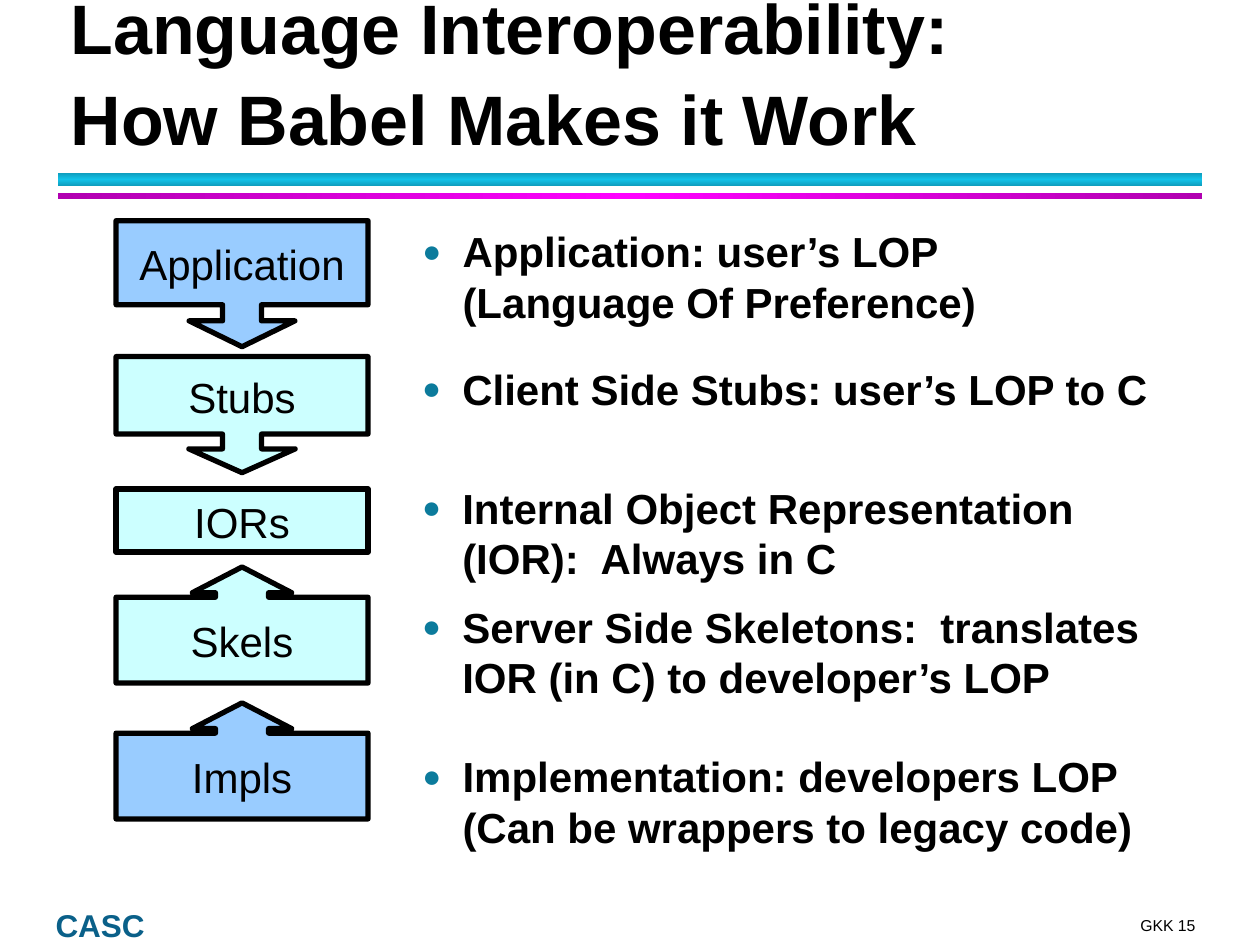
from copy import deepcopy
from dataclasses import dataclass

from lxml.etree import SubElement
from pptx import Presentation
from pptx.dml.color import RGBColor
from pptx.enum.shapes import MSO_SHAPE
from pptx.enum.text import MSO_ANCHOR, MSO_AUTO_SIZE, PP_ALIGN
from pptx.oxml.ns import qn
from pptx.util import Cm, Pt


@dataclass(frozen=True)
class Theme:
    """Colours, font and type sizes of the slide."""
    font: str = "Arial"
    text: str = "000000"
    brand: str = "0A6089"
    bullet: str = "0C7B9C"
    user: str = "99CCFF"
    generated: str = "CCFFFF"
    teal: tuple = ("0E9AB9", "12C2E9", "0E9AB9")
    magenta: tuple = ("B100B1", "FF00FF", "B100B1")
    title_size: int = 40
    body_size: int = 24
    brand_size: int = 18
    number_size: int = 9
    title_pitch: int = 52
    body_pitch: int = 29
    box_pitch: int = 30
    brand_pitch: int = 20


T = Theme()
DOWN = (MSO_SHAPE.DOWN_ARROW_CALLOUT, 2.34)
UP = (MSO_SHAPE.UP_ARROW_CALLOUT, 2.34)
UP_ADJ = (0.458, 0.428, 0.222, 0.739)


def write(p, text, size=T.body_size, color=T.text, bold=False,
          align=PP_ALIGN.LEFT, pitch=None, before=0, after=0):
    """Fill a paragraph with formatted text."""
    p.text = text
    p.alignment = align
    p.space_before, p.space_after = Pt(before), Pt(after)
    if pitch:
        p.line_spacing = Pt(pitch)
    for r in p.runs:
        f = r.font
        f.name, f.size, f.bold = T.font, Pt(size), bold
        f.color.rgb = RGBColor.from_string(color)


def set_frame(tf, anchor, wrap=True, inset=None):
    """Set anchor, wrapping and insets of a text frame."""
    tf.auto_size = MSO_AUTO_SIZE.NONE
    tf.vertical_anchor, tf.word_wrap = anchor, wrap
    if inset is not None:
        tf.margin_left = tf.margin_right = Cm(inset)
        tf.margin_top = tf.margin_bottom = Cm(inset)
    return tf


def place(sp, x, y, w, h):
    """Move and size a shape, in centimetres."""
    sp.left, sp.top, sp.width, sp.height = Cm(x), Cm(y), Cm(w), Cm(h)


def add_bullet(p):
    """Give a paragraph a hanging coloured bullet."""
    pPr = p._p.get_or_add_pPr()
    pPr.set("marL", str(Cm(0.81)))
    pPr.set("indent", str(-Cm(0.81)))
    clr = SubElement(pPr, qn("a:buClr"))
    SubElement(clr, qn("a:srgbClr"), val=T.bullet)
    SubElement(pPr, qn("a:buSzPct"), val="75000")
    SubElement(pPr, qn("a:buFont"), typeface=T.font)
    SubElement(pPr, qn("a:buChar"), char="●")


def title(sp, text, x, y, w, h):
    """Format the title placeholder."""
    place(sp, x, y, w, h)
    tf = set_frame(sp.text_frame, MSO_ANCHOR.BOTTOM)
    write(tf.paragraphs[0], text, size=T.title_size, bold=True,
          pitch=T.title_pitch)


def rules(s, x, y, w):
    """Draw the two gradient bars below the title."""
    for dy, h, colors, angle in ((0, 0.28, T.teal, 90),
                                 (0.41, 0.13, T.magenta, 0)):
        sp = s.shapes.add_shape(MSO_SHAPE.RECTANGLE, Cm(x), Cm(y + dy), Cm(w), Cm(h))
        sp.shadow.inherit = False
        sp.line.fill.background()
        sp.fill.gradient()
        sp.fill.gradient_angle = angle
        stops = sp._element.spPr.find(qn("a:gradFill")).find(qn("a:gsLst"))
        stops.insert(1, deepcopy(stops[0]))
        for i, (stop, color) in enumerate(zip(sp.fill.gradient_stops, colors)):
            stop.position = i / 2
            stop.color.rgb = RGBColor.from_string(color)


def stack(s, x, y, w):
    """Draw the column of software layers."""
    layers = (
        ("Application", 0, 2.54, DOWN[0], T.user, (0.309, 0.42, 0.205, 0.667)),
        ("Stubs", 2.74, DOWN[1], DOWN[0], T.generated, (0.337, 0.458, 0.205, 0.667)),
        ("Skels", 6.98, UP[1], UP[0], T.generated, UP_ADJ),
        ("IORs", 5.41, 1.27, MSO_SHAPE.RECTANGLE, T.generated, ()),
        ("Impls", 9.72, UP[1], UP[0], T.user, UP_ADJ),
    )
    for text, dy, h, kind, fill, adjust in layers:
        sp = s.shapes.add_shape(kind, Cm(x), Cm(y + dy), Cm(w), Cm(h))
        sp.shadow.inherit = False
        for i, value in enumerate(adjust):
            sp.adjustments[i] = value
        sp.fill.solid()
        sp.fill.fore_color.rgb = RGBColor.from_string(fill)
        sp.line.color.rgb = RGBColor.from_string(T.text)
        sp.line.width = Pt(3)
        tf = set_frame(sp.text_frame, MSO_ANCHOR.MIDDLE, wrap=False)
        write(tf.paragraphs[0], text, align=PP_ALIGN.CENTER, pitch=T.box_pitch)


def bullets(sp, items, x, y, w, h):
    """Fill a box with bulleted (text, space before) items."""
    place(sp, x, y, w, h)
    tf = set_frame(sp.text_frame, MSO_ANCHOR.TOP)
    for i, (text, before) in enumerate(items):
        p = tf.add_paragraph() if i else tf.paragraphs[0]
        add_bullet(p)
        write(p, text, bold=True, pitch=T.body_pitch, before=before, after=4)


def footer(s, x, y, w):
    """Write the group name at left and the page mark at right."""
    left = s.shapes.add_textbox(Cm(x), Cm(y), Cm(1.96), Cm(0.71))
    right = s.shapes.add_textbox(Cm(x + w - 1.85), Cm(y + 0.16), Cm(1.85), Cm(0.38))
    for sp, text, fmt in (
        (left, "CASC", dict(size=T.brand_size, color=T.brand, bold=True,
                            pitch=T.brand_pitch)),
        (right, "GKK 15", dict(size=T.number_size, align=PP_ALIGN.RIGHT)),
    ):
        tf = set_frame(sp.text_frame, MSO_ANCHOR.BOTTOM, inset=0)
        write(tf.paragraphs[0], text, **fmt)


def main():
    """Build and save the slide."""
    prs = Presentation()
    prs.slide_width, prs.slide_height = Cm(25.4), Cm(19.05)
    s = prs.slides.add_slide(prs.slide_layouts[1])
    footer(s, 1.12, 18.31, 22.98)
    rules(s, 1.17, 3.48, 23.06)
    title(s.shapes.title, "Language Interoperability:\vHow Babel Makes it Work",
          1.17, 0.84, 23.01, 2.51)
    stack(s, 2.34, 4.45, 5.08)
    bullets(s.placeholders[1], (
        ("Application: user’s LOP\v(Language Of Preference)", 0),
        ("Implementation: developers LOP (Can be wrappers to legacy code)", 238),
    ), 8.26, 4.42, 16.03, 14.07)
    bullets(s.shapes.add_textbox(0, 0, 0, 0), (
        ("Client Side Stubs: user’s LOP to C", 0),
        ("Internal Object Representation (IOR):  Always in C", 35),
        ("Server Side Skeletons:  translates IOR (in C) to developer’s LOP", 6),
    ), 8.26, 7.19, 16.03, 8.15)
    prs.save("out.pptx")


if __name__ == "__main__":
    main()
